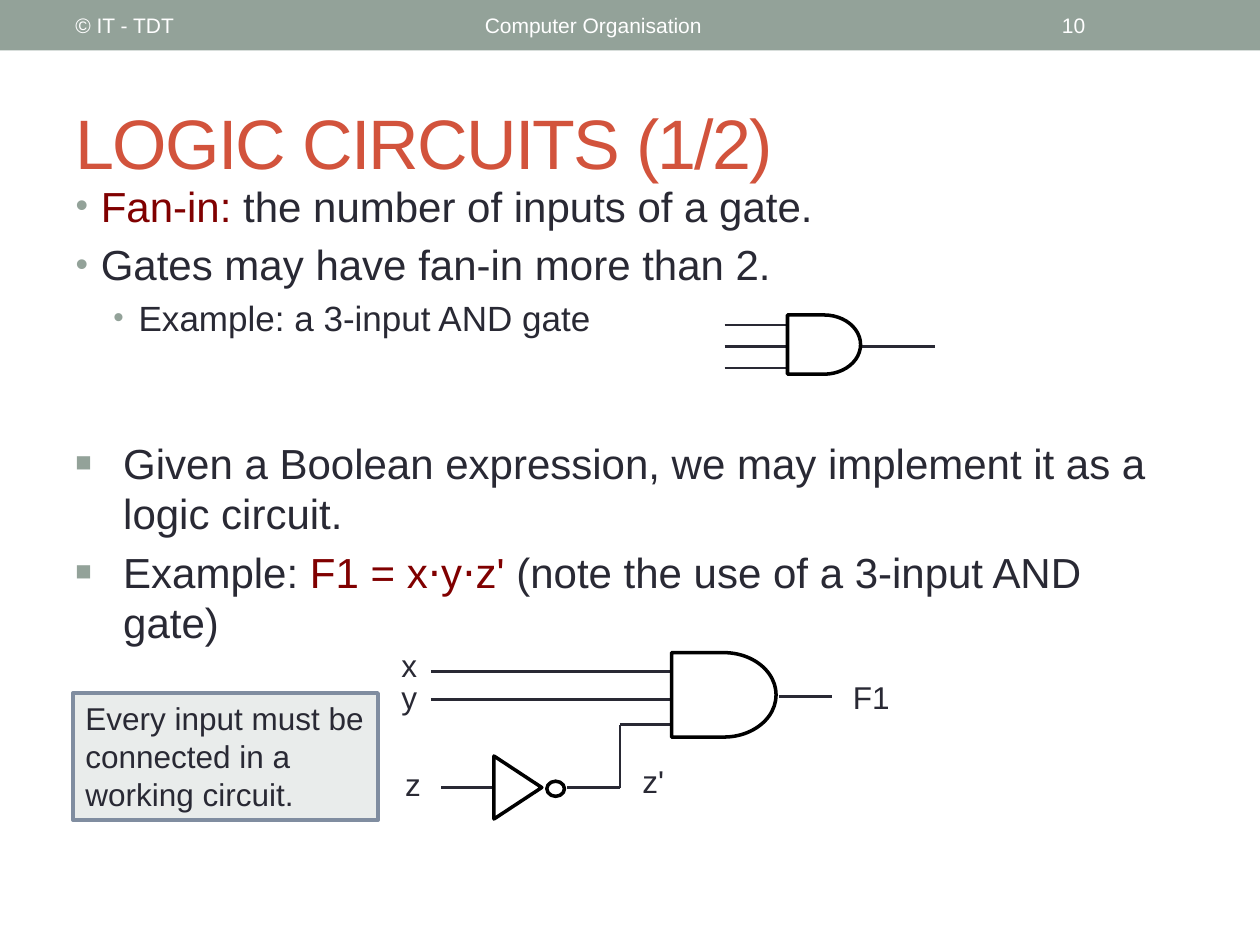
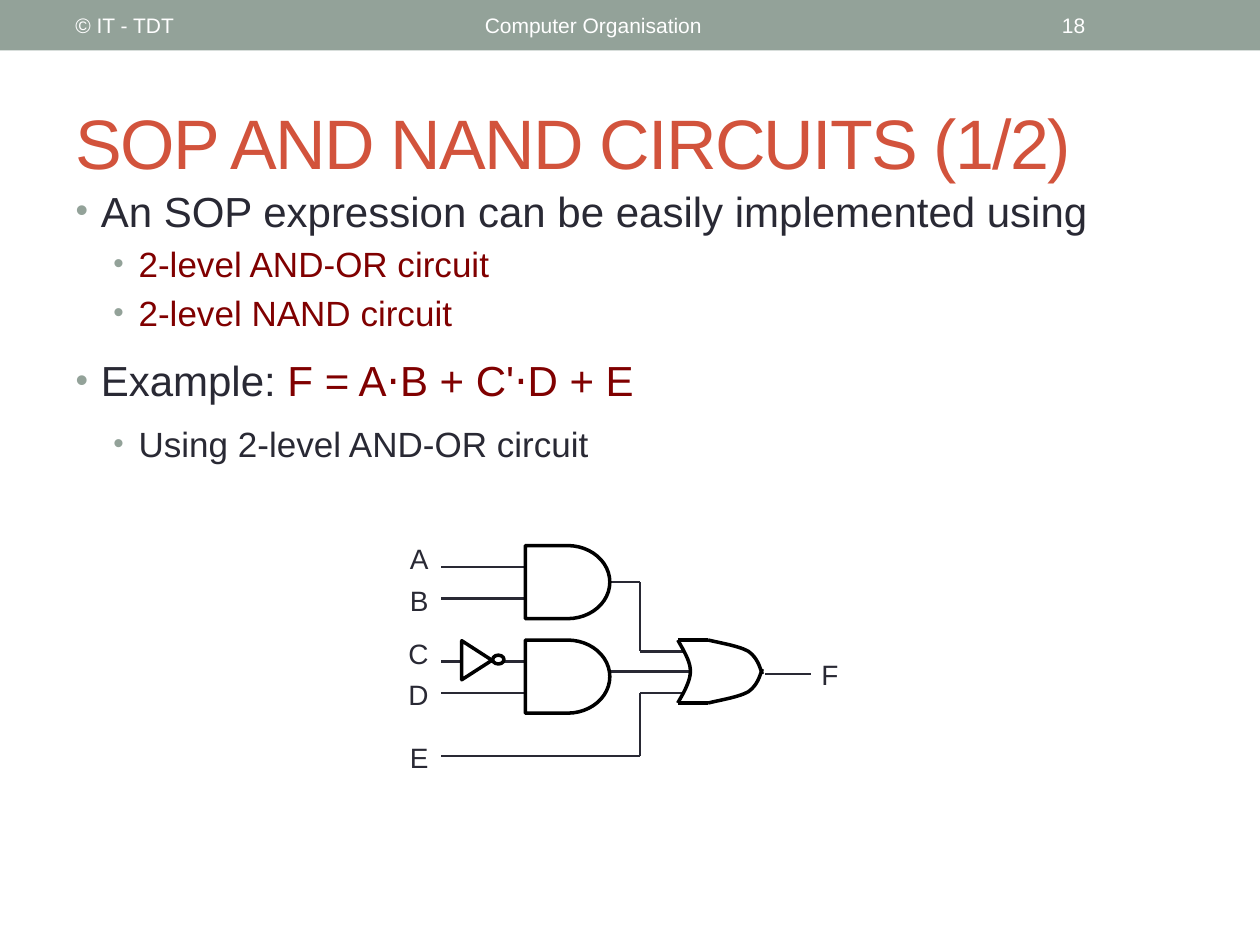
from lxml import etree
from pptx import Presentation
from pptx.dml.color import RGBColor
from pptx.enum.shapes import MSO_CONNECTOR as LINK, MSO_SHAPE as SHAPE
from pptx.enum.text import MSO_ANCHOR as ANCHOR, MSO_AUTO_SIZE as FIT, PP_ALIGN as ALIGN
from pptx.oxml.ns import qn
from pptx.util import Inches, Pt

FONT = "Arial"
HUES = {
    "band": "93A299", "title": "D2533C", "text": "292934", "key": "800000",
    "gate": "000000", "white": "FFFFFF", "note": "E9ECEB", "edge": "808DA0",
}


def hue(name):
    return RGBColor.from_string(HUES[name])


def box(*dims):
    return [Inches(dim) for dim in dims]


def style(font, size, color):
    font.name, font.size = FONT, Pt(size)
    font.color.rgb = hue(color)


# Basic parts

def add_shape(shapes, kind, dims, fill=None, line=None, width=2):
    shape = shapes.add_shape(kind, *box(*dims))
    shape.shadow.inherit = False
    paint(shape, fill, line, width)
    return shape


def paint(shape, fill, line, width):
    if fill:
        shape.fill.solid()
        shape.fill.fore_color.rgb = hue(fill)
    else:
        shape.fill.background()
    if line:
        shape.line.color.rgb = hue(line)
        shape.line.width = Pt(width)
    else:
        shape.line.fill.background()


def add_text(shapes, text, dims, size, color="text", align=ALIGN.LEFT, anchor=ANCHOR.TOP):
    frame = shapes.add_textbox(*box(*dims)).text_frame
    frame.word_wrap = True
    frame.vertical_anchor = anchor
    para = frame.paragraphs[0]
    para.text, para.alignment = text, align
    style(para.font, size, color)


def add_wire(shapes, *points, color="text", width=1.5):
    for start, end in zip(points, points[1:]):
        wire = shapes.add_connector(LINK.STRAIGHT, *box(*start, *end))
        wire.line.color.rgb = hue(color)
        wire.line.width = Pt(width)
        etree.SubElement(wire._element.spPr, qn("a:effectLst"))


def add_curve(shapes, start, *bends, steps=12):
    """Draw joined cubic curves; each bend is two controls and an end."""
    points, here = [], start
    for bend in bends:
        knots = (here, *bend)
        for step in range(1, steps + 1):
            t = step / steps
            parts = ((1 - t) ** 3, 3 * t * (1 - t) ** 2, 3 * t * t * (1 - t), t ** 3)
            points.append(box(*(sum(part * knot[axis] for part, knot in zip(parts, knots))
                                for axis in (0, 1))))
        here = bend[-1]
    build = shapes.build_freeform(*box(*start))
    build.add_line_segments(points, close=False)
    curve = build.convert_to_shape()
    curve.shadow.inherit = False
    paint(curve, None, "gate", 2)


# Logic gates

def add_and(shapes, *dims):
    add_shape(shapes, SHAPE.FLOWCHART_DELAY, dims, line="gate")


def add_not(shapes, body, bubble):
    wedge = add_shape(shapes, SHAPE.FLOWCHART_MERGE, body, "white", "gate")
    wedge.rotation = 270
    add_shape(shapes, SHAPE.OVAL, bubble, "white", "gate")


def add_or(shapes, left, top):
    high = 0.5

    def spot(x, y):
        return left + x, top + y

    add_curve(shapes, spot(0, 0),
              (spot(0.05, 0.09), spot(0.1, 0.17), spot(0.1, 0.25)),
              (spot(0.1, 0.34), spot(0.02, 0.46), spot(0, high)))
    for base, sign in ((0, 1), (high, -1)):
        add_wire(shapes, spot(0, base), spot(0.24, base), color="gate", width=2)
        arc = [spot(x, base + sign * y) for x, y in (
            (0.24, 0), (0.37, 0.03), (0.49, 0.05), (0.56, 0.09),
            (0.63, 0.14), (0.65, 0.21), (0.67, 0.27))]
        add_curve(shapes, arc[0], arc[1:4], arc[4:])


# Lists and slide frame

def set_bullet(para, mark, scale, left, hang):
    props = para._p.get_or_add_pPr()
    props.set("marL", str(Inches(left)))
    props.set("indent", str(-Inches(hang)))
    tint = etree.SubElement(props, qn("a:buClr"))
    etree.SubElement(tint, qn("a:srgbClr"), val=HUES["band"])
    etree.SubElement(props, qn("a:buSzPct"), val=str(scale * 1000))
    etree.SubElement(props, qn("a:buFont"), typeface=FONT)
    etree.SubElement(props, qn("a:buChar"), char=mark)


def fill_list(frame, items, square=False):
    """Items are level, text and gap; text between asterisks is a key term."""
    frame.word_wrap, frame.auto_size = True, FIT.NONE
    for index, (level, text, gap) in enumerate(items):
        para = frame.add_paragraph() if index else frame.paragraphs[0]
        size = (24, 20)[level]
        para.level = level
        para.space_before = Pt(size * gap)
        if square:
            set_bullet(para, "■", 65, 0.38, 0.38)
        else:
            set_bullet(para, "•", 85, (0.2, 0.5)[level], 0.2)
        for part, words in enumerate(text.split("*")):
            if words:
                run = para.add_run()
                run.text = words
                style(run.font, size, "key" if part % 2 else "text")


def add_page(deck, title, number, top, height, items):
    slide = deck.slides.add_slide(deck.slide_layouts[1])
    shapes = slide.shapes
    add_shape(shapes, SHAPE.RECTANGLE, (0, 0, 10, 0.4), "band")
    for text, left, width in (("© IT - TDT", 0.5, 3.17),
                              ("Computer Organisation", 3.75, 4.5),
                              (str(number), 8.33, 1.17)):
        add_text(shapes, text, (left, 0.02, width, 0.36), 12, "white", anchor=ANCHOR.MIDDLE)

    head, body = shapes.title, slide.placeholders[1]
    head.left, head.top, head.width, head.height = box(0.5, 0.58, 9, 1.08)
    head.text_frame.auto_size = FIT.NONE
    head.text_frame.vertical_anchor = ANCHOR.MIDDLE
    para = head.text_frame.paragraphs[0]
    para.text, para.alignment = title, ALIGN.LEFT
    style(para.font, 40, "title")
    para.runs[0].font._element.set("spc", "-100")

    body.left, body.top, body.width, body.height = box(0.5, top, 9, height)
    fill_list(body.text_frame, items)
    return shapes


# Slides

def draw_logic(deck):
    shapes = add_page(deck, "LOGIC CIRCUITS (1/2)", 10, 1.38, 1.54, [
        (0, "*Fan-in:* the number of inputs of a gate.", 0.2),
        (0, "Gates may have fan-in more than 2.", 0.2),
        (1, "Example: a 3-input AND gate", 0.2)])
    more = shapes.add_textbox(*box(0.5, 3.42, 9, 2.29))
    fill_list(more.text_frame, [
        (0, "Given a Boolean expression, we may implement it as a logic circuit.", 0.2),
        (0, "Example: *F1 = x⋅y⋅z'* (note the use of a 3-input AND gate)", 0.2)], square=True)

    # Three-input gate
    gate = shapes.add_group_shape().shapes
    for y in (2.58, 2.75, 2.92):
        add_wire(gate, (5.75, y), (6.25, y))
    add_wire(gate, (6.83, 2.75), (7.42, 2.75))
    add_and(gate, 6.25, 2.5, 0.58, 0.47)

    # Circuit for F1
    plan = shapes.add_group_shape().shapes
    for y in (5.33, 5.55):
        add_wire(plan, (3.42, y), (5.33, y))
    add_wire(plan, (3.5, 6.25), (3.92, 6.25))
    add_wire(plan, (4.5, 6.25), (4.92, 6.25), (4.92, 5.75), (5.33, 5.75))
    add_wire(plan, (6.18, 5.53), (6.6, 5.53))
    add_and(plan, 5.33, 5.18, 0.83, 0.67)
    add_not(plan, (3.86, 6.06, 0.5, 0.38), (4.34, 6.2, 0.14, 0.12))
    for name, x, y in (("x", 3.08, 5.08), ("y", 3.08, 5.33), ("z", 3.11, 6.02)):
        add_text(plan, name, (x, y, 0.33, 0.4), 18, align=ALIGN.RIGHT)
    add_text(plan, "F1", (6.67, 5.33, 0.58, 0.4), 18)
    add_text(plan, "z'", (5, 6, 0.42, 0.4), 18)

    # Note
    note = add_shape(shapes, SHAPE.RECTANGLE, (0.58, 5.5, 2.42, 1.01), "note", "edge", 2.08)
    frame = note.text_frame
    frame.word_wrap, frame.vertical_anchor = True, ANCHOR.TOP
    para = frame.paragraphs[0]
    para.text, para.alignment = "Every input must be connected in a working circuit.", ALIGN.LEFT
    style(para.font, 18, "text")


def draw_sop(deck):
    shapes = add_page(deck, "SOP AND NAND CIRCUITS (1/2)", 18, 1.42, 5.42, [
        (0, "An SOP expression can be easily implemented using", 0.2),
        (1, "*2-level AND-OR circuit*", 0.2),
        (1, "*2-level NAND circuit*", 0.2),
        (0, "Example:* F = A⋅B + C'⋅D + E*", 0.5),
        (1, "Using 2-level AND-OR circuit", 0.5)])

    # Circuit for F
    plan = shapes.add_group_shape().shapes
    for y in (4.5, 4.75, 5.25, 5.5):
        add_wire(plan, (3.5, y), (4.17, y))
    add_wire(plan, (4.83, 4.62), (5.08, 4.62), (5.08, 5.17), (5.42, 5.17))
    add_wire(plan, (4.83, 5.33), (5.48, 5.33))
    add_wire(plan, (3.5, 6), (5.08, 6), (5.08, 5.5), (5.42, 5.5))
    add_wire(plan, (6.07, 5.35), (6.44, 5.35))
    for y in (4.33, 5.08):
        add_and(plan, 4.17, y, 0.67, 0.58)
    add_not(plan, (3.63, 5.12, 0.31, 0.24), (3.91, 5.2, 0.09, 0.07))
    add_or(plan, 5.38, 5.08)
    for name, y in zip("ABCDE", (4.25, 4.58, 5, 5.33, 5.83)):
        add_text(plan, name, (3.08, y, 0.42, 0.37), 16, align=ALIGN.RIGHT)
    add_text(plan, "F", (6.42, 5.17, 0.48, 0.37), 16)


def main():
    deck = Presentation()
    deck.slide_width, deck.slide_height = box(10, 7.5)
    draw_logic(deck)
    draw_sop(deck)
    deck.save("out.pptx")


if __name__ == "__main__":
    main()
